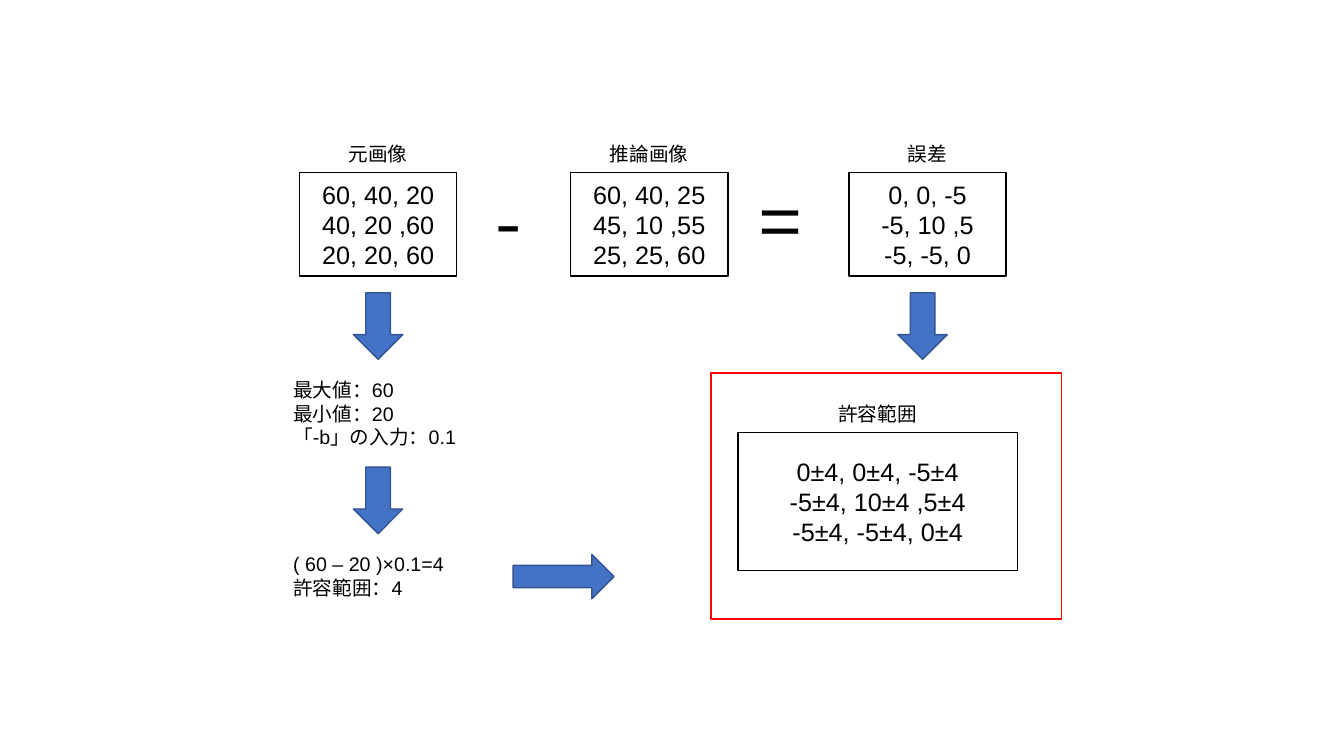
"""Build the slide that derives the tolerance range from pixel value errors."""
from pptx import Presentation
from pptx.dml.color import RGBColor
from pptx.enum import shapes, text
from pptx.util import Inches, Pt

BLACK, WHITE, BLUE, NAVY, RED = "000000", "FFFFFF", "4472C4", "325491", "FF0000"
LEFT, CENTER = text.PP_ALIGN.LEFT, text.PP_ALIGN.CENTER
RECT, ARROW = shapes.MSO_SHAPE.RECTANGLE, shapes.MSO_SHAPE.RIGHT_ARROW

deck = Presentation()
deck.slide_width, deck.slide_height = Inches(13.33), Inches(7.5)
slide = deck.slides.add_slide(deck.slide_layouts[6])


def add_block(preset, place, fill, line):
    """Add a preset shape with a thin outline."""
    block = slide.shapes.add_shape(preset, *map(Inches, place))
    block.shadow.inherit = False
    if fill:
        block.fill.solid()
        block.fill.fore_color.rgb = RGBColor.from_string(fill)
    else:
        block.fill.background()
    block.line.color.rgb = RGBColor.from_string(line)
    block.line.width = Pt(1)
    return block


def write(holder, words, size, align=LEFT, font="Arial"):
    """Fill a shape with black text."""
    frame = holder.text_frame
    frame.word_wrap = True
    frame.text = words
    for paragraph in frame.paragraphs:
        paragraph.alignment = align
        for run in paragraph.runs:
            run.font.size, run.font.name = Pt(size), font
            run.font.color.rgb = RGBColor.from_string(BLACK)


matrices = [
    ("元画像", "60, 40, 20\n40, 20 ,60\n20, 20, 60", 2.97, 1.71, 1.56, 1.03),
    ("推論画像", "60, 40, 25\n45, 10 ,55\n25, 25, 60", 5.66, 1.71, 1.56, 1.03),
    ("誤差", "0, 0, -5\n-5, 10 ,5\n-5, -5, 0", 8.42, 1.71, 1.56, 1.03),
    ("許容範囲", "0±4, 0±4, -5±4\n-5±4, 10±4 ,5±4\n-5±4, -5±4, 0±4", 7.32, 4.29, 2.77, 1.37),
]
for heading, values, left, top, width, height in matrices:
    matrix = add_block(RECT, (left, top, width, height), WHITE, BLACK)
    matrix.text_frame.vertical_anchor = text.MSO_ANCHOR.MIDDLE
    write(matrix, values, 18, CENTER)
    label = slide.shapes.add_textbox(*map(Inches, (left, top - 0.35, width, 0.34)))
    write(label, heading, 14, CENTER)

for sign, left, width in [("-", 4.82, 0.56), ("=", 7.43, 0.79)]:
    operator = slide.shapes.add_textbox(*map(Inches, (left, 1.69, width, 1.02)))
    write(operator, sign, 54, font="Noto Sans CJK JP")

steps = [
    ("最大値：60\n最小値：20\n「-b」の入力：0.1", 3.7, 0.81),
    ("( 60 – 20 )×0.1=4\n許容範囲：4", 5.43, 0.57),
]
for words, top, height in steps:
    step = slide.shapes.add_textbox(*map(Inches, (2.81, top, 1.89, height)))
    write(step, words, 14)

add_block(RECT, (7.05, 3.7, 3.48, 2.44), None, RED)

for left, top in [(3.42, 2.99), (3.42, 4.72), (8.82, 2.99)]:
    add_block(ARROW, (left, top, 0.66, 0.49), BLUE, NAVY).rotation = 90
add_block(ARROW, (5.09, 5.5, 1, 0.44), BLUE, NAVY)

deck.save("out.pptx")
